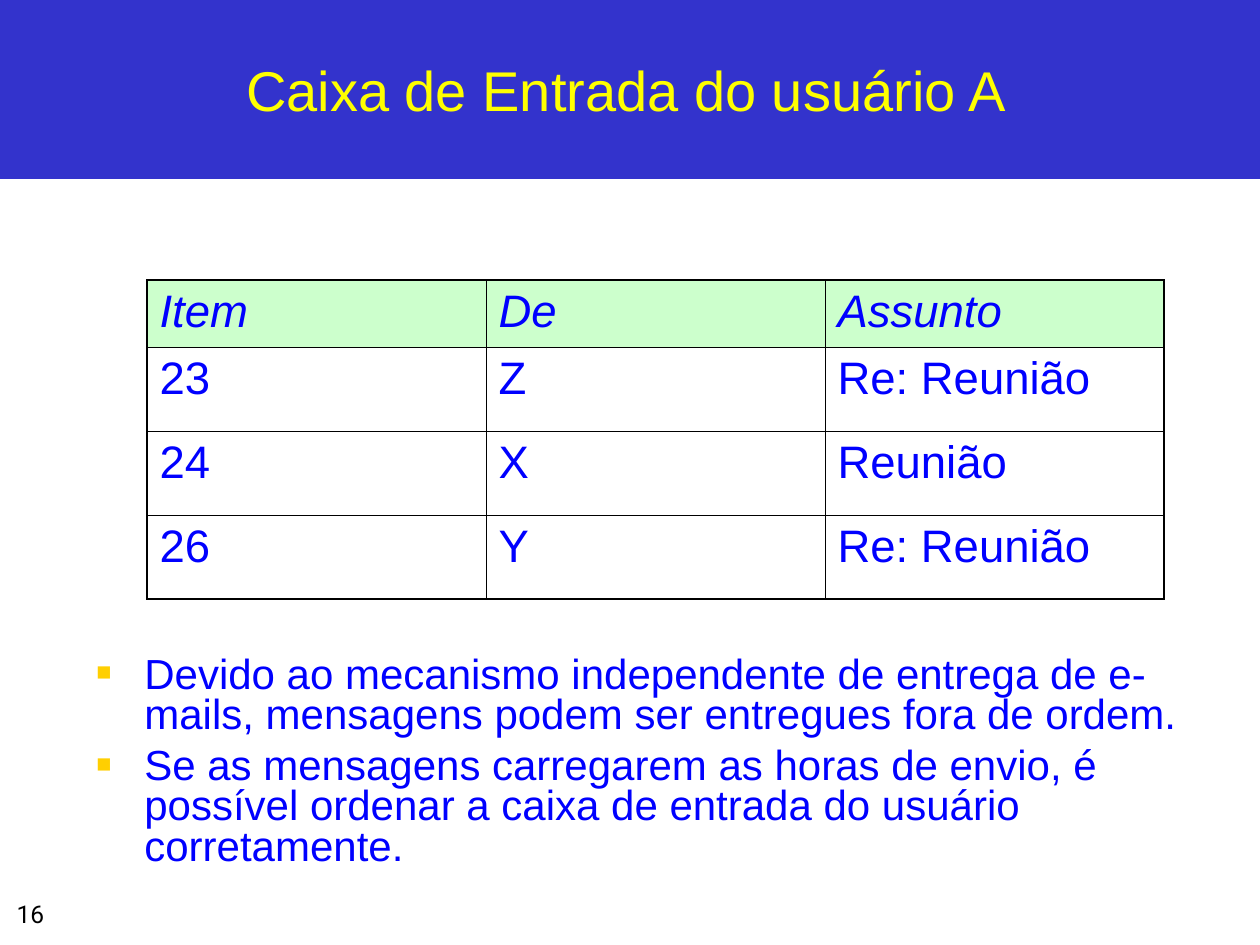
from lxml.etree import SubElement
from pptx import Presentation
from pptx.dml.color import RGBColor
from pptx.enum.shapes import MSO_SHAPE
from pptx.enum.text import MSO_ANCHOR, PP_ALIGN
from pptx.oxml.ns import qn
from pptx.util import Emu, Pt

EMU_PER_PX = 914400 / 126
BLUE_BAND = RGBColor(0x33, 0x33, 0xCC)
YELLOW = RGBColor(0xFF, 0xFF, 0x00)
BLUE = RGBColor(0x00, 0x00, 0xFF)
GOLD = RGBColor(0xFF, 0xCF, 0x01)
MINT = RGBColor(0xCC, 0xFF, 0xCC)
BLACK = RGBColor(0x00, 0x00, 0x00)
WHITE = RGBColor(0xFF, 0xFF, 0xFF)

TITLE = "Caixa de Entrada do usuário A"
INBOX = [
    ("Item", "De", "Assunto"),
    ("23", "Z", "Re: Reunião"),
    ("24", "X", "Reunião"),
    ("26", "Y", "Re: Reunião"),
]
REMARKS = [
    "Devido ao mecanismo independente de entrega de e-mails, "
    "mensagens podem ser entregues fora de ordem.",
    "Se as mensagens carregarem as horas de envio, é possível ordenar "
    "a caixa de entrada do usuário corretamente.",
]


def px(length):
    return Emu(round(length * EMU_PER_PX))


def write(paragraph, text, size, color, font="Arial", italic=False, align=PP_ALIGN.LEFT):
    paragraph.alignment = align
    run = paragraph.add_run()
    run.text = text
    run.font.name = font
    run.font.size = Pt(size)
    run.font.italic = italic
    run.font.color.rgb = color


def add_band(slide, left, top, width, height):
    band = slide.shapes.add_shape(
        MSO_SHAPE.RECTANGLE, px(left), px(top), px(width), px(height))
    band.shadow.inherit = False
    band.fill.solid()
    band.fill.fore_color.rgb = BLUE_BAND
    band.line.fill.background()
    slide.shapes._spTree.insert(2, band._element)


def set_title(slide, text, left, top, width, height):
    title = slide.shapes.title
    title.left, title.top = px(left), px(top)
    title.width, title.height = px(width), px(height)
    title.text_frame.vertical_anchor = MSO_ANCHOR.MIDDLE
    write(title.text_frame.paragraphs[0], text, 32, YELLOW, align=PP_ALIGN.CENTER)


def add_border(cell, side, width):
    line = SubElement(cell._tc.get_or_add_tcPr(), qn(f"a:ln{side}"), w=str(Pt(width)))
    fill = SubElement(line, qn("a:solidFill"))
    SubElement(fill, qn("a:srgbClr"), val=str(BLACK))


def add_inbox(slide, rows, left, top, column_width, row_heights):
    columns = len(rows[0])
    table = slide.shapes.add_table(
        len(rows), columns, px(left), px(top),
        px(column_width * columns), px(sum(row_heights))).table
    for column in table.columns:
        column.width = px(column_width)
    for r, (values, height) in enumerate(zip(rows, row_heights)):
        table.rows[r].height = px(height)
        for c, value in enumerate(values):
            cell = table.cell(r, c)
            outer_sides = {"L": c == 0, "R": c == columns - 1,
                           "T": r == 0, "B": r == len(rows) - 1}
            for side, outer in outer_sides.items():
                add_border(cell, side, 1.08 if outer else 0.45)
            cell.fill.solid()
            cell.fill.fore_color.rgb = MINT if r == 0 else WHITE
            write(cell.text_frame.paragraphs[0], value, 26, BLUE, italic=r == 0)


def add_bullet(paragraph, indent):
    properties = paragraph._p.get_or_add_pPr()
    properties.set("marL", str(px(indent)))
    properties.set("indent", str(-px(indent)))
    color = SubElement(properties, qn("a:buClr"))
    SubElement(color, qn("a:srgbClr"), val=str(GOLD))
    SubElement(properties, qn("a:buSzPct"), val="60000")
    SubElement(properties, qn("a:buFont"), typeface="Arial")
    SubElement(properties, qn("a:buChar"), char="■")


def add_text_frame(slide, left, top, width, height, wrap=True):
    frame = slide.shapes.add_textbox(
        px(left), px(top), px(width), px(height)).text_frame
    frame.word_wrap = wrap
    return frame


def add_remarks(slide, remarks, left, top, width, height):
    frame = add_text_frame(slide, left, top, width, height)
    for i, remark in enumerate(remarks):
        paragraph = frame.add_paragraph() if i else frame.paragraphs[0]
        add_bullet(paragraph, 48)
        paragraph.line_spacing = 0.8
        paragraph.space_before = Pt(6 if i else 0)
        write(paragraph, remark, 24, BLUE)


def add_page_number(slide, number, left, top, width, height):
    frame = add_text_frame(slide, left, top, width, height, wrap=False)
    write(frame.paragraphs[0], number, 14, BLACK, font="Roboto", align=PP_ALIGN.CENTER)


def main():
    presentation = Presentation()
    presentation.slide_width, presentation.slide_height = px(1260), px(945)
    slide = presentation.slides.add_slide(presentation.slide_layouts[5])
    add_band(slide, 0, 0, 1260, 179)
    set_title(slide, TITLE, 21, 21, 1211, 136)
    add_inbox(slide, INBOX, 147, 280, 339, [67, 84, 84, 84])
    add_remarks(slide, REMARKS, 84, 651, 1144, 242)
    add_page_number(slide, "16", -42, 893, 145, 47)
    presentation.save("out.pptx")


if __name__ == "__main__":
    main()
